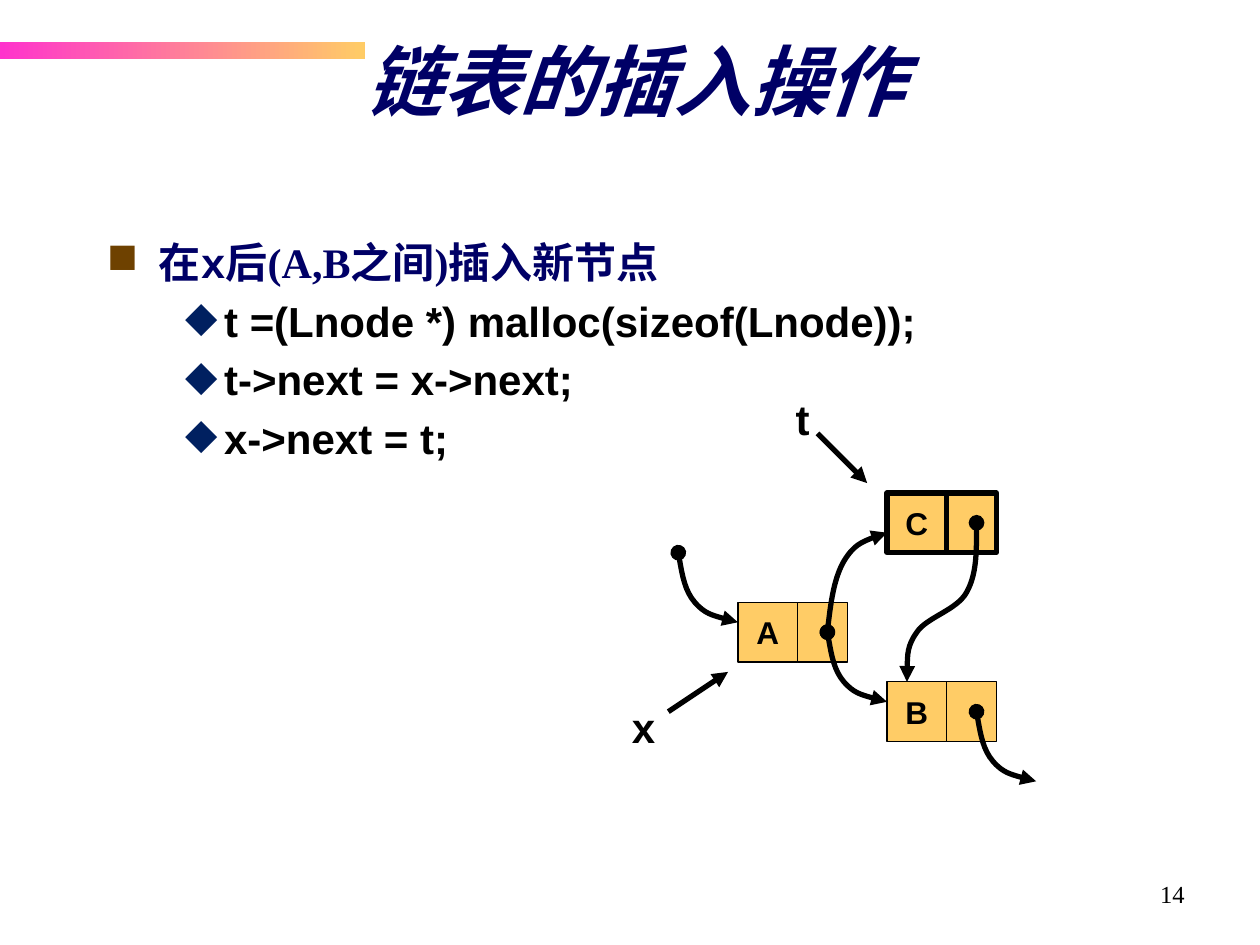
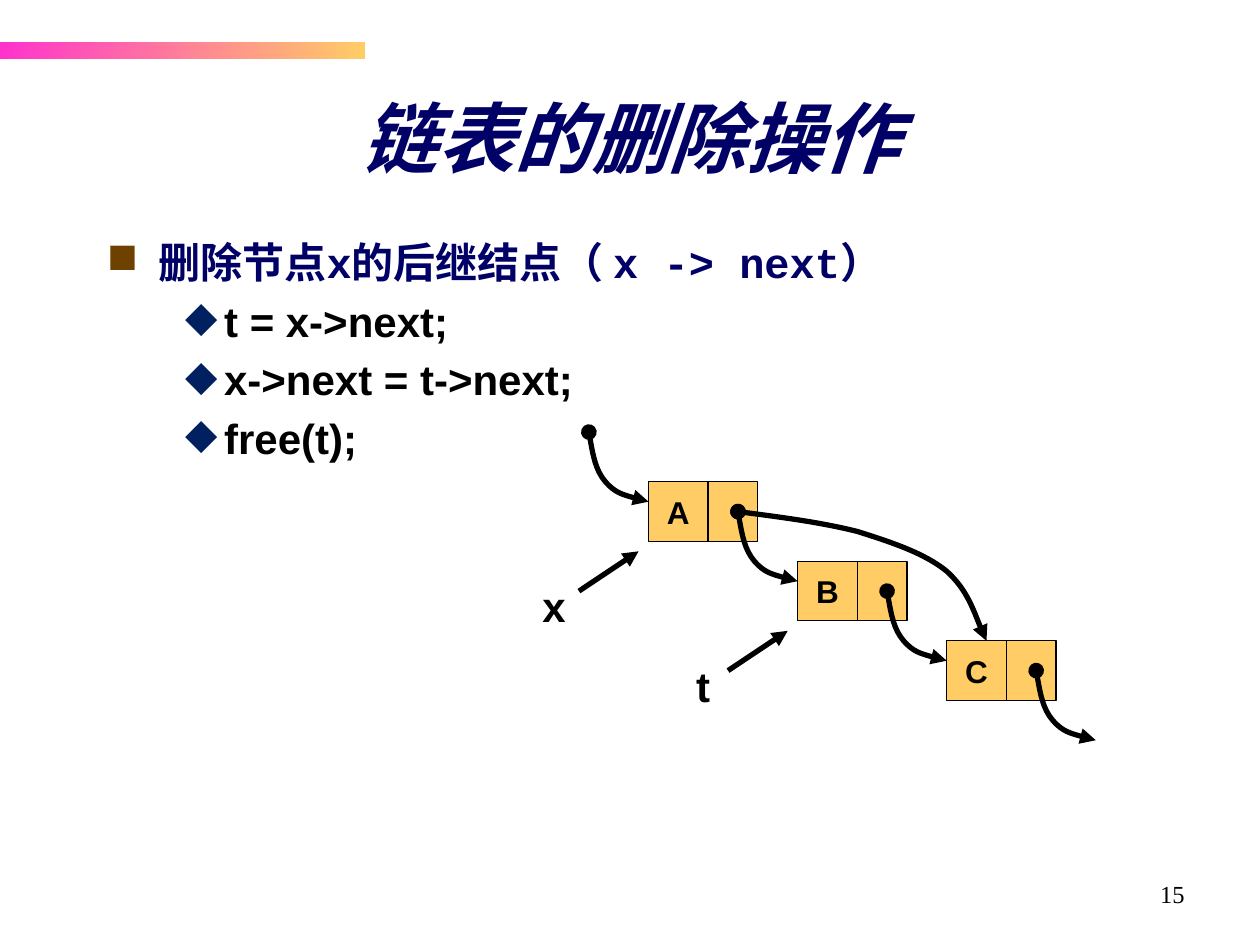
from dataclasses import dataclass
from lxml.etree import SubElement
from pptx import Presentation
from pptx.dml.color import RGBColor
from pptx.enum.shapes import MSO_CONNECTOR, MSO_SHAPE
from pptx.enum.text import MSO_ANCHOR, MSO_AUTO_SIZE, PP_ALIGN
from pptx.oxml.ns import qn
from pptx.util import Pt


@dataclass(frozen=True)
class Theme:
    navy: str = "000066"
    black: str = "000000"
    gold: str = "FFCC66"
    pink: str = "FF33CC"
    brown: str = "6E4100"
    blue: str = "002060"
    serif: str = "Times New Roman"
    sans: str = "Arial"
    mono: str = "Courier New"
    head: int = 44
    body: int = 24
    cell: int = 18
    foot: int = 14
    thin: float = 0.75
    thick: float = 3


theme = Theme()
unit = 5.68
hook = [(0, 0), (0.33, 1.9), (0.67, 3.85), (1.67, 5), (2.67, 6.15), (4.33, 6.6), (6, 7)]
below = ((-12, 10), (-7, 11), (-1, 7))
above = ((-11, -10), (-7, -6), (-2, -1))

pages = [
    {
        "number": 14,
        "title": "链表的插入操作",
        "place": (56.2, 16.6),
        "lead": [("在", theme.serif), ("x", theme.mono), ("后(A,B之间)插入新节点", theme.serif)],
        "code": ["t =(Lnode *) malloc(sizeof(Lnode));", "t->next = x->next;", "x->next = t;"],
        "start": (421.7, 344.2),
        "nodes": [("A", 0, 0, theme.thin), ("B", 15, 8, theme.thin), ("C", 15, -11, theme.thick)],
        "hooks": 3,
        "marks": [("x", 0, 0, below), ("t", 15, -11, above)],
        "curves": [
            [(24, -8), (24, -5.4), (24, -2.8), (23, -1), (22, 0.8), (19, 1.5), (18, 3),
             (17, 4.4), (17, 6.2), (17, 8)],
            [(9, 3), (9.3, 0.2), (9.7, -2.5), (10.7, -4.2), (11.7, -5.8), (13.3, -6.5), (15, -7)],
        ],
    },
    {
        "number": 15,
        "title": "链表的删除操作",
        "place": (53.3, 49),
        "lead": [("删除节点", theme.serif), ("x的后继结点（ x -> next）", theme.mono)],
        "code": ["t = x->next;", "x->next = t->next;", "free(t);"],
        "start": (370.6, 275.3),
        "nodes": [("A", 0, 0, theme.thin), ("B", 15, 8, theme.thin), ("C", 30, 16, theme.thin)],
        "hooks": 4,
        "marks": [("x", 0, 0, below), ("t", 15, 8, below)],
        "curves": [
            [(9, 3), (13.2, 3.55), (17.4, 4.1), (21, 5), (24.5, 6.1), (27.8, 7.2), (30, 9),
             (32.1, 10.9), (33.4, 14.8), (34, 16)],
        ],
    },
]


def write(par, text, size=theme.body, font=theme.sans, color=theme.black, bold=True,
          italic=False, align=PP_ALIGN.LEFT):
    run = par.add_run()
    run.text = text
    run.font.size = Pt(size)
    run.font.name = font
    run.font.color.rgb = RGBColor.from_string(color)
    run.font.bold = bold
    run.font.italic = italic
    par.alignment = align
    return run


def ink(shape, start=None):
    shape.line.width = Pt(theme.thick)
    shape.line.color.rgb = RGBColor.from_string(theme.black)
    line = shape.line._get_or_add_ln()
    if start:
        SubElement(line, qn("a:headEnd"), type=start)
    SubElement(line, qn("a:tailEnd"), type="triangle")


deck = Presentation()
deck.slide_width, deck.slide_height = Pt(720), Pt(540)

for page in pages:
    slide = deck.slides.add_slide(deck.slide_layouts[5])
    shapes = slide.shapes

    foot = shapes.add_textbox(Pt(516), Pt(499), Pt(168), Pt(37.5)).text_frame
    foot.word_wrap = True
    write(foot.paragraphs[0], str(page["number"]), size=theme.foot, font=theme.serif,
          bold=False, align=PP_ALIGN.RIGHT)

    band = shapes.add_shape(MSO_SHAPE.RECTANGLE, 0, Pt(24), Pt(208.4), Pt(9.8))
    band.shadow.inherit = False
    band.line.fill.background()
    band.fill.gradient()
    band.fill.gradient_angle = 0
    for stop, tone in zip(band.fill.gradient_stops, (theme.pink, theme.gold)):
        stop.color.rgb = RGBColor.from_string(tone)

    title = shapes.title
    title.left, title.top = [Pt(v) for v in page["place"]]
    title.width, title.height = Pt(614), Pt(66)
    title.text_frame.auto_size = MSO_AUTO_SIZE.NONE
    title.text_frame.vertical_anchor = MSO_ANCHOR.MIDDLE
    par = title.text_frame.paragraphs[0]
    par.line_spacing = 0.85
    run = write(par, page["title"], size=theme.head, font=theme.serif, color=theme.navy,
                italic=True, align=PP_ALIGN.CENTER)
    glow = run.font._element.find(qn("a:solidFill"))
    cast = glow.makeelement(qn("a:effectLst"))
    glow.addnext(cast)
    shade = SubElement(cast, qn("a:outerShdw"), dist="38100", dir="2700000")
    SubElement(shade, qn("a:srgbClr"), val=theme.black)

    body = shapes.add_textbox(Pt(54), Pt(134), Pt(612), Pt(363)).text_frame
    body.word_wrap = True
    rows = [page["lead"]] + [[(code, theme.sans)] for code in page["code"]]
    for i, row in enumerate(rows):
        par = body.add_paragraph() if i else body.paragraphs[0]
        par.level = 1 if i else 0
        par.line_spacing = 0.95
        par.space_before = Pt(6)
        for text, font in row:
            write(par, text, font=font, color=theme.black if i else theme.navy)
        sign, tone, left, hang = (
            ("◆", theme.blue, 67, 22.3) if i else ("■", theme.brown, 29.5, 29.5))
        prop = par._p.get_or_add_pPr()
        prop.set("marL", str(Pt(left)))
        prop.set("indent", str(-Pt(hang)))
        SubElement(SubElement(prop, qn("a:buClr")), qn("a:srgbClr"), val=tone)
        SubElement(prop, qn("a:buChar"), char=sign)

    left, top = page["start"]
    for name, col, row, width in page["nodes"]:
        for text, shift, span in (("", 6, 5), (name, 0, 6)):
            box = shapes.add_shape(
                MSO_SHAPE.RECTANGLE, Pt(left + (col + shift) * unit), Pt(top + row * unit),
                Pt(span * unit), Pt(6 * unit))
            box.shadow.inherit = False
            box.fill.solid()
            box.fill.fore_color.rgb = RGBColor.from_string(theme.gold)
            box.line.color.rgb = RGBColor.from_string(theme.black)
            box.line.width = Pt(width)
            if text:
                box.text_frame.word_wrap = False
                write(box.text_frame.paragraphs[0], text, size=theme.cell,
                      align=PP_ALIGN.CENTER)

    for name, col, row, spots in page["marks"]:
        (lx, ly), (ax, ay), (bx, by) = [
            (Pt(left + (col + x) * unit), Pt(top + (row + y) * unit)) for x, y in spots]
        label = shapes.add_textbox(lx, ly, Pt(5 * unit), Pt(5 * unit)).text_frame
        label.word_wrap = False
        label.vertical_anchor = MSO_ANCHOR.MIDDLE
        write(label.paragraphs[0], name, align=PP_ALIGN.CENTER)
        arrow = shapes.add_connector(MSO_CONNECTOR.STRAIGHT, ax, ay, bx, by)
        ink(arrow)
        SubElement(arrow._element.spPr, qn("a:effectLst"))

    links = [[(15 * i - 6 + x, 8 * i - 5 + y) for x, y in hook] for i in range(page["hooks"])]
    for link in links + page["curves"]:
        dots = [(Pt(left + x * unit), Pt(top + y * unit)) for x, y in link]
        form = shapes.build_freeform(*dots[0])
        form.add_line_segments(dots[1:], close=False)
        curve = form.convert_to_shape()
        curve.shadow.inherit = False
        curve.fill.background()
        ink(curve, start="oval")
        steps = list(curve._element.iter(qn("a:lnTo")))
        for i in range(0, len(steps), 3):
            bend = steps[i].makeelement(qn("a:cubicBezTo"))
            steps[i].addprevious(bend)
            for step in steps[i:i + 3]:
                bend.append(step[0])
                step.getparent().remove(step)

deck.save("out.pptx")
